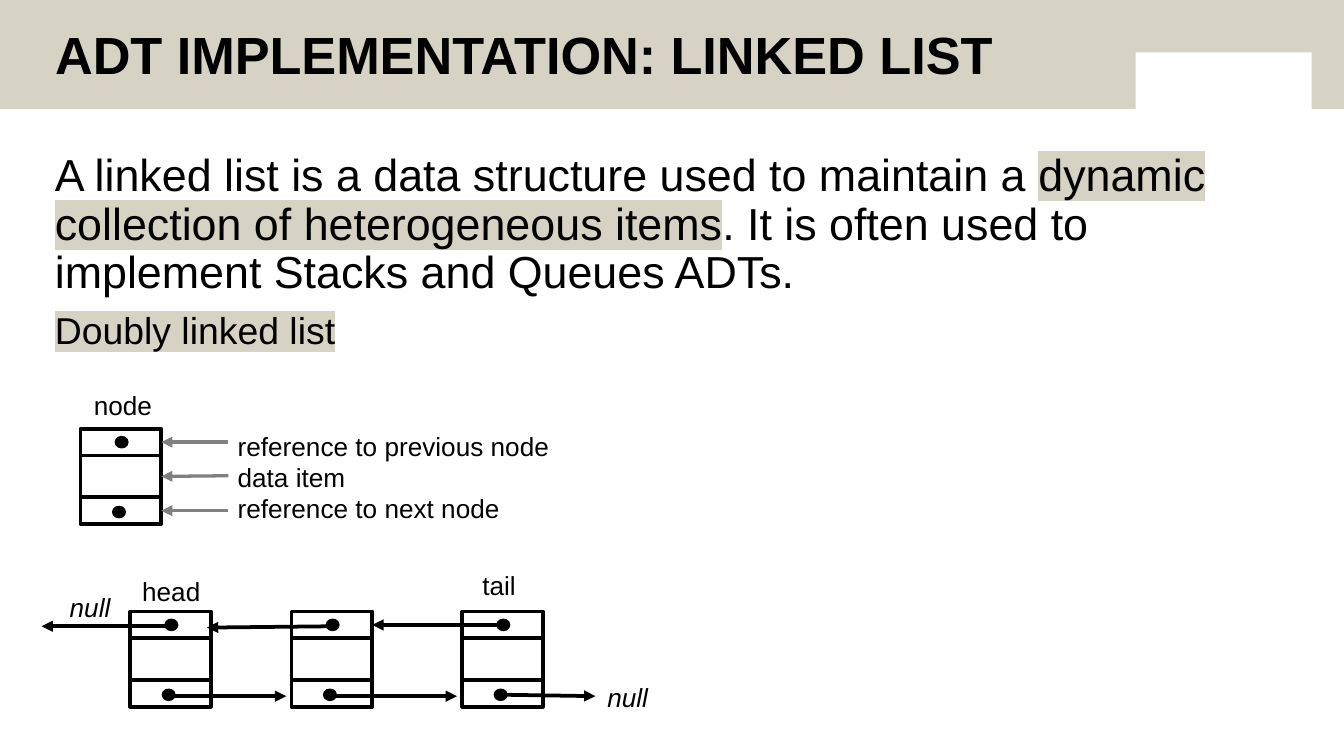
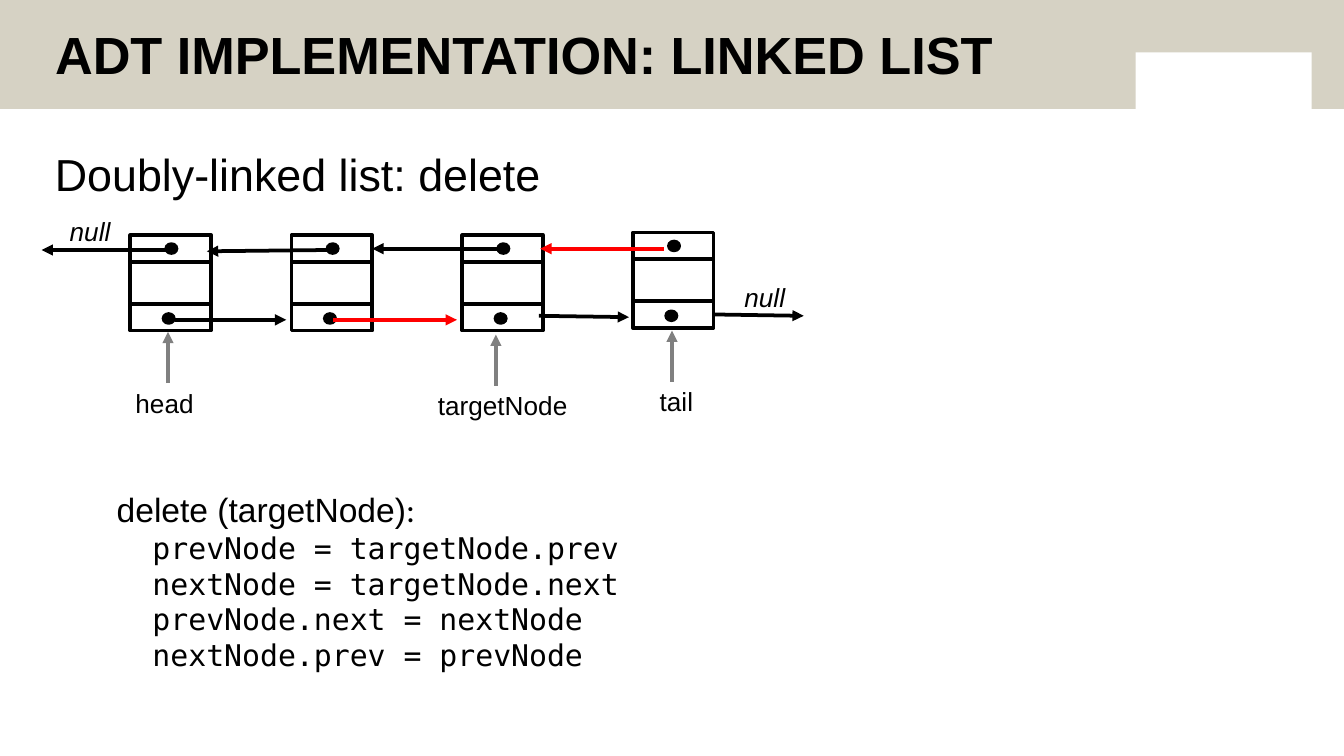
from lxml.etree import SubElement
from pptx import Presentation
from pptx.dml.color import RGBColor
from pptx.enum.shapes import MSO_CONNECTOR, MSO_SHAPE
from pptx.enum.text import MSO_ANCHOR, MSO_AUTO_SIZE, PP_ALIGN
from pptx.oxml.ns import qn
from pptx.util import Inches, Pt

BLACK = "000000"
WHITE = "FFFFFF"
GREY = "808080"
RED = "FF0000"
STONE = "D6D2C4"
RIGHT_SIDE = 3


def color(hex_string):
    return RGBColor.from_string(hex_string)


class Deck:
    font_name = "Arial"
    code_font = "DejaVu Sans Mono"
    title_only_layout = 5
    cell_width = 0.6
    cell_heights = (0.2, 0.31, 0.2)

    def __init__(self):
        self.presentation = Presentation()
        self.presentation.slide_width = Inches(10)
        self.presentation.slide_height = Inches(10) * 9 // 16
        self.slide = None

    def new_slide(self, title):
        layout = self.presentation.slide_layouts[self.title_only_layout]
        self.slide = self.presentation.slides.add_slide(layout)
        placeholder = self.slide.shapes.title
        placeholder.left, placeholder.top = Inches(0.31), Inches(0.16)
        placeholder.width, placeholder.height = Inches(7.7), Inches(0.53)
        frame = placeholder.text_frame
        frame.text = title
        frame.auto_size = MSO_AUTO_SIZE.NONE
        frame.vertical_anchor = MSO_ANCHOR.MIDDLE
        paragraph = frame.paragraphs[0]
        paragraph.alignment = PP_ALIGN.LEFT
        self.style(paragraph, 28, line_spacing=0.9)
        paragraph.font.bold = True
        band = self.shape(MSO_SHAPE.RECTANGLE, 0, 0, 10, 0.81, fill=STONE)
        emblem = self.shape(MSO_SHAPE.RECTANGLE, 8.45, 0.39, 1.31, 0.42, fill=WHITE)
        for backdrop in (band, emblem):
            placeholder._element.addprevious(backdrop._element)

    def style(self, paragraph, size, name=font_name, line_spacing=None):
        paragraph.line_spacing = line_spacing
        paragraph.font.name = name
        paragraph.font.size = Pt(size)
        paragraph.font.color.rgb = color(BLACK)

    def shape(self, kind, left, top, width, height, fill=None, line_width=0):
        shape = self.slide.shapes.add_shape(
            kind, Inches(left), Inches(top), Inches(width), Inches(height))
        shape.shadow.inherit = False
        if fill:
            shape.fill.solid()
            shape.fill.fore_color.rgb = color(fill)
        else:
            shape.fill.background()
        if line_width:
            shape.line.color.rgb = color(BLACK)
            shape.line.width = Pt(line_width)
        else:
            shape.line.fill.background()
        return shape

    def text_frame(self, left, top, width, height, wrap=True):
        box = self.slide.shapes.add_textbox(
            Inches(left), Inches(top), Inches(width), Inches(height))
        box.text_frame.word_wrap = wrap
        return box.text_frame

    def body(self, *paragraphs):
        frame = self.text_frame(0.31, 1.09, 9.14, 4.1)
        for index, (size, runs) in enumerate(paragraphs):
            paragraph = frame.add_paragraph() if index else frame.paragraphs[0]
            self.style(paragraph, size, line_spacing=0.9)
            if index:
                paragraph.space_before = Pt(7.5)
            for text, highlighted in runs:
                run = paragraph.add_run()
                run.text = text
                if highlighted:
                    self.highlight(run)

    def highlight(self, run):
        properties = run._r.get_or_add_rPr()
        mark = SubElement(properties, qn("a:highlight"))
        SubElement(mark, qn("a:srgbClr")).set("val", STONE)

    def label(self, text, left, top, width, height=0.34):
        frame = self.text_frame(left, top, width, height, wrap=False)
        frame.text = text
        for paragraph in frame.paragraphs:
            self.style(paragraph, 14)
        return frame

    def null_label(self, left, top):
        paragraph = self.label("null", left, top, 0.51, 0.31).paragraphs[0]
        paragraph.line_spacing = 0.9
        paragraph.font.italic = True

    def code(self, name, *lines):
        frame = self.text_frame(0.77, 3.59, 7.84, 1.48)
        heading = frame.paragraphs[0]
        self.style(heading, 18)
        for text, font_name in ((name, self.font_name), (":", "Calibri")):
            run = heading.add_run()
            run.text = text
            run.font.name = font_name
        for line in lines:
            paragraph = frame.add_paragraph()
            paragraph.text = line
            self.style(paragraph, 16, self.code_font)

    def node(self, left, top):
        cells = []
        cell_top = top
        for height in self.cell_heights:
            cells.append(self.shape(MSO_SHAPE.RECTANGLE, left, cell_top,
                                    self.cell_width, height, line_width=2))
            cell_top += height
        for dx, dy in ((0.26, 0.06), (0.24, 0.58)):
            self.shape(MSO_SHAPE.OVAL, left + dx, top + dy, 0.09, 0.08,
                       fill=BLACK, line_width=1)
        return cells

    def arrow(self, start, end, line_color=BLACK, width=2, from_cell=None, to_cell=None):
        connector = self.slide.shapes.add_connector(
            MSO_CONNECTOR.STRAIGHT, *map(Inches, (*start, *end)))
        if from_cell is not None:
            connector.begin_connect(from_cell, RIGHT_SIDE)
        if to_cell is not None:
            connector.end_connect(to_cell, RIGHT_SIDE)
        connector.line.color.rgb = color(line_color)
        connector.line.width = Pt(width)
        SubElement(connector.get_or_add_ln(), qn("a:tailEnd")).set("type", "triangle")
        SubElement(connector._element.spPr, qn("a:effectLst"))

    def linked_nodes(self, top, second_next_color=BLACK):
        nodes = [self.node(left, top) for left in (0.97, 2.17, 3.44)]
        previous_y, next_y = top + 0.11, top + 0.63
        self.null_label(0.42, top - 0.17)
        self.arrow((1.24, previous_y), (0.31, previous_y))
        self.arrow((2.47, previous_y), (1.54, top + 0.12))
        self.arrow((3.7, top + 0.1), (2.77, top + 0.1), to_cell=nodes[1][0])
        self.arrow((1.3, next_y), (2.13, next_y))
        self.arrow((2.48, next_y), (3.4, next_y), second_next_color)


def build_structure_slide(deck, title):
    deck.new_slide(title)
    deck.body(
        (24, [("A linked list is a data structure used to maintain a ", False),
              ("dynamic collection of heterogeneous items", True),
              (". It is often used to implement Stacks and Queues ADTs.", False)]),
        (20, [("Doubly linked list", True)]))

    deck.label("node", 0.6, 2.85, 0.64)
    deck.label("reference to previous node\ndata item\nreference to next node",
               1.67, 3.15, 2.53, 0.81)
    for cell, y in zip(deck.node(0.6, 3.19), (3.29, 3.54, 3.8)):
        deck.arrow((1.7, y), (1.2, y), GREY, 1.75, to_cell=cell)

    deck.linked_nodes(4.55)
    deck.label("head", 0.96, 4.23, 0.64)
    deck.label("tail", 3.49, 4.19, 0.45)
    deck.arrow((3.76, 5.17), (4.43, 5.18))
    deck.null_label(4.42, 5.05)


def build_delete_slide(deck, title):
    deck.new_slide(title)
    deck.body((24, [("Doubly-linked list: delete", False)]))

    deck.linked_nodes(1.75, second_next_color=RED)
    tail = deck.node(4.71, 1.73)
    deck.arrow((4.94, 1.85), (4.02, 1.85), RED)
    deck.arrow((4.01, 2.35), (4.68, 2.36))
    deck.arrow((5.31, 2.34), (5.98, 2.35), from_cell=tail[2])
    deck.null_label(5.44, 2.07)

    pointers = (("head", 0.91, 2.83, 0.64, 1.25),
                ("targetNode", 3.16, 2.85, 1.17, 3.69),
                ("tail", 4.81, 2.82, 0.45, 5))
    for text, left, top, width, arrow_x in pointers:
        deck.label(text, left, top, width)
        deck.arrow((arrow_x, top + 0.02), (arrow_x, top - 0.36), GREY)

    deck.code("delete (targetNode)",
              "  prevNode = targetNode.prev",
              "  nextNode = targetNode.next",
              "  prevNode.next = nextNode",
              "  nextNode.prev = prevNode")


def main():
    deck = Deck()
    title = "ADT IMPLEMENTATION: LINKED LIST"
    build_structure_slide(deck, title)
    build_delete_slide(deck, title)
    deck.presentation.save("out.pptx")


if __name__ == "__main__":
    main()
